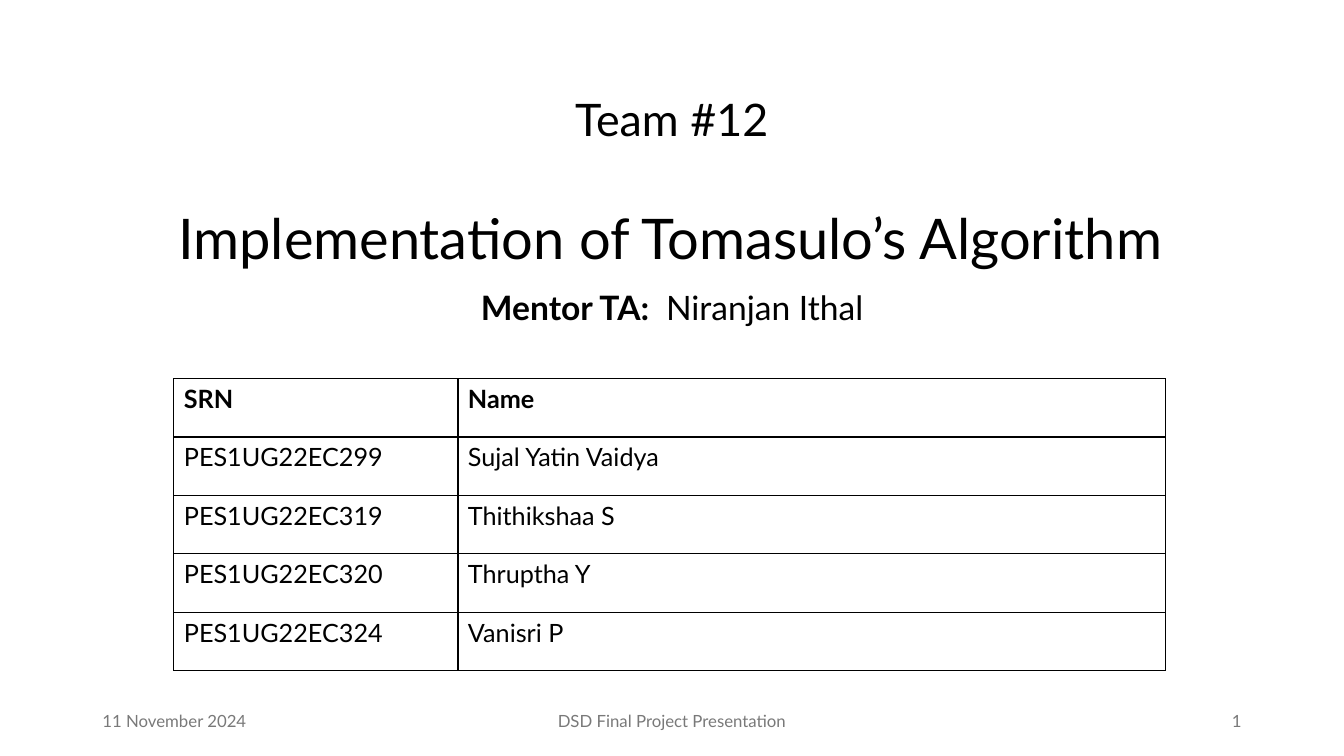
"""Build the title slide of a project talk."""
from lxml import etree
from pptx import Presentation
from pptx.dml.color import RGBColor
from pptx.enum.text import MSO_ANCHOR, PP_ALIGN
from pptx.oxml.ns import qn
from pptx.util import Cm, Pt

LEFT, MID, RIGHT = PP_ALIGN.LEFT, PP_ALIGN.CENTER, PP_ALIGN.RIGHT
TOP, CENTER, BOTTOM = MSO_ANCHOR.TOP, MSO_ANCHOR.MIDDLE, MSO_ANCHOR.BOTTOM
FONT = "Lato"
COLORS = {"ink": "000000", "foot": "797979"}
TEAM = [
    ("SRN", "Name"),
    ("PES1UG22EC299", "Sujal Yatin Vaidya"),
    ("PES1UG22EC319", "Thithikshaa S"),
    ("PES1UG22EC320", "Thruptha Y"),
    ("PES1UG22EC324", "Vanisri P"),
]


def add_run(para, text, size, bold=False, color="ink"):
    run = para.add_run()
    run.text = text
    font = run.font
    font.name, font.size, font.bold = FONT, Pt(size), bold
    font.color.rgb = RGBColor.from_string(COLORS[color])


def add_text(slide, box, align, anchor=TOP):
    """Add an empty text box and return its paragraph."""
    frame = slide.shapes.add_textbox(*map(Cm, box)).text_frame
    frame.word_wrap = True
    frame.vertical_anchor = anchor
    para = frame.paragraphs[0]
    para.alignment = align
    return para


def add_head(slide, left, top, width):
    para = add_text(slide, (left, top + 1.63, width, 3.15), MID, BOTTOM)
    para.line_spacing = 0.9
    add_run(para, "Implementation of Tomasulo’s Algorithm", 40)

    para = add_text(slide, (left + 0.05, top + 5.03, width, 1.83), MID)
    para.line_spacing = 0.9
    para.space_before = Pt(10)
    add_run(para, "Mentor TA: ", 24, True)
    add_run(para, " Niranjan Ithal", 24)

    inset = (width - 5.92) / 2
    para = add_text(slide, (left + inset + 0.04, top, 5.92, 1.63), MID)
    add_run(para, "Team #12", 32)


def add_edges(cell):
    props = cell._tc.get_or_add_tcPr()
    for at, side in enumerate(("lnL", "lnR", "lnT", "lnB")):
        line = etree.Element(qn(f"a:{side}"), w=str(Pt(1)))
        fill = etree.SubElement(line, qn("a:solidFill"))
        etree.SubElement(fill, qn("a:srgbClr"), val=COLORS["ink"])
        props.insert(at, line)


def add_team(slide, left, top, width, height):
    shape = slide.shapes.add_table(
        len(TEAM), 2, Cm(left), Cm(top), Cm(width), Cm(height))
    table = shape.table
    table.first_row = table.horz_banding = False
    first = 7.16
    for col, wide in zip(table.columns, (first, width - first)):
        col.width = Cm(wide)
    for r, names in enumerate(TEAM):
        table.rows[r].height = Cm(height / len(TEAM))
        for c, text in enumerate(names):
            cell = table.cell(r, c)
            cell.fill.background()
            add_edges(cell)
            add_run(cell.text_frame.paragraphs[0], text, 18, r == 0)


def add_foot(slide, left, top, width, height):
    side, wide = 7.62, 11.43
    parts = [
        ("11 November 2024", left, side, LEFT),
        ("DSD Final Project Presentation",
         left + (width - wide) / 2, wide, MID),
        ("1", left + width - side, side, RIGHT),
    ]
    for text, x, span, align in parts:
        para = add_text(slide, (x, top, span, height), align, CENTER)
        add_run(para, text, 12, color="foot")


def main():
    deck = Presentation()
    deck.slide_width, deck.slide_height = Cm(33.87), Cm(19.05)
    slide = deck.slides.add_slide(deck.slide_layouts[6])
    add_head(slide, 4.19, 2.18, 25.4)
    add_team(slide, 4.38, 9.54, 25, 7.36)
    add_foot(slide, 2.33, 17.66, 29.21, 1.01)
    deck.save("out.pptx")


if __name__ == "__main__":
    main()
